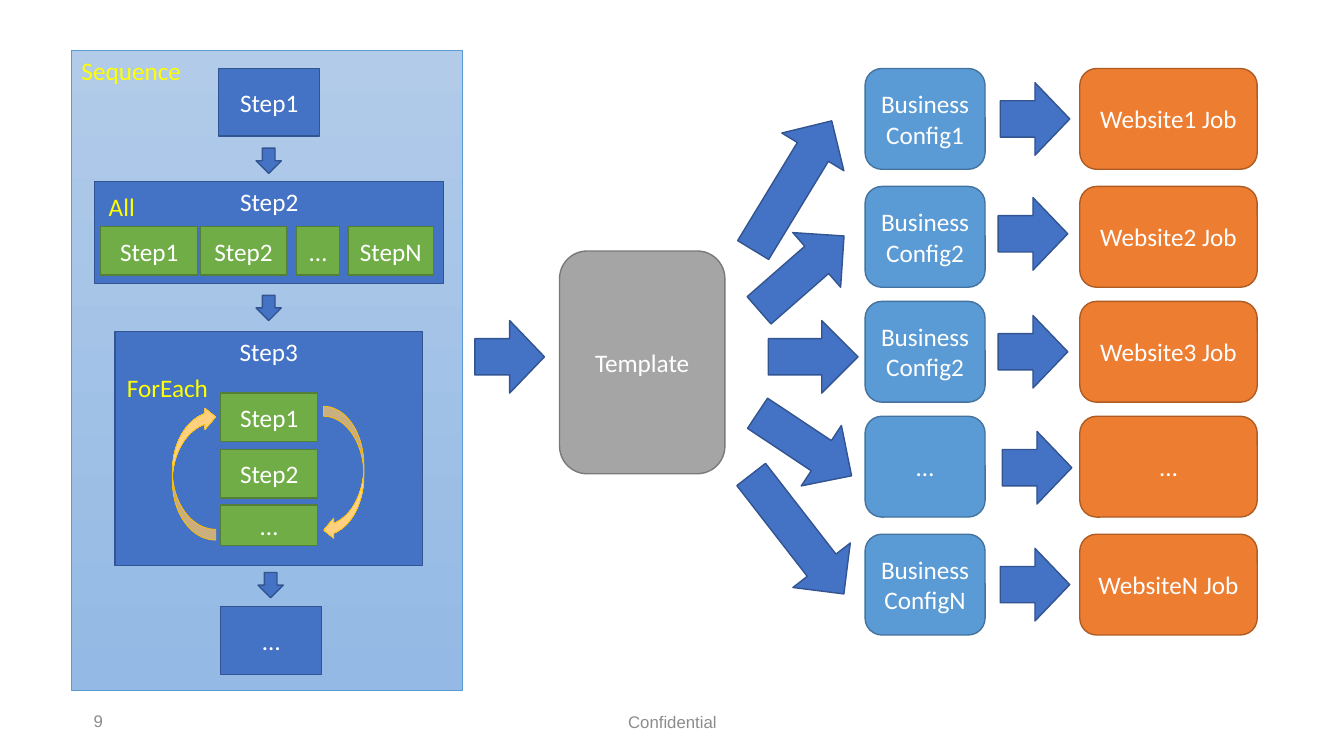
"""Builds the slide showing a step sequence feeding a template that drives website jobs."""
from dataclasses import dataclass

from pptx import Presentation
from pptx.dml.color import RGBColor
from pptx.enum.shapes import MSO_SHAPE
from pptx.enum.text import MSO_ANCHOR, MSO_AUTO_SIZE, PP_ALIGN
from pptx.util import Emu, Pt

PROCESS = MSO_SHAPE.FLOWCHART_PROCESS
ROUNDED = MSO_SHAPE.ROUNDED_RECTANGLE
DOWN_ARROW = MSO_SHAPE.DOWN_ARROW
RIGHT_ARROW = MSO_SHAPE.RIGHT_ARROW
CURVED_LEFT = MSO_SHAPE.CURVED_LEFT_ARROW
CURVED_RIGHT = MSO_SHAPE.CURVED_RIGHT_ARROW
TOP, MIDDLE = MSO_ANCHOR.TOP, MSO_ANCHOR.MIDDLE
LEFT, CENTER = PP_ALIGN.LEFT, PP_ALIGN.CENTER
FIT_TEXT = MSO_AUTO_SIZE.SHAPE_TO_FIT_TEXT

WHITE = RGBColor(0xFF, 0xFF, 0xFF)
YELLOW = RGBColor(0xFF, 0xFF, 0x00)
FOOTER_GRAY = RGBColor(0x8C, 0x8C, 0x8C)

EMU_PER_PX = 9144


@dataclass(frozen=True)
class Style:
    fills: tuple[RGBColor, ...]
    line: RGBColor
    line_width: float = 1


@dataclass(frozen=True)
class Node:
    kind: MSO_SHAPE
    style: Style
    box: tuple[int, int, int, int]
    text: str = ""
    anchor: MSO_ANCHOR = MIDDLE
    align: PP_ALIGN = CENTER
    color: RGBColor = WHITE
    rotation: float = 0
    flipped: bool = False


@dataclass(frozen=True)
class Label:
    text: str
    box: tuple[int, int, int, int]
    color: RGBColor
    font: str = "Calibri"
    size: int = 18
    align: PP_ALIGN = LEFT
    anchor: MSO_ANCHOR = TOP
    wrap: bool = False


@dataclass(frozen=True)
class JobRow:
    top: int
    config: str
    job: str
    arrow_left: int
    arrow_top: int


BLUE = Style((RGBColor(0x44, 0x72, 0xC4),), RGBColor(0x32, 0x54, 0x91))
GREEN = Style((RGBColor(0x70, 0xAD, 0x47),), RGBColor(0x53, 0x80, 0x35))
GRAY = Style((RGBColor(0xA5, 0xA5, 0xA5),), RGBColor(0x7A, 0x7A, 0x7A))
SKY = Style((RGBColor(0x5B, 0x9B, 0xD5),), RGBColor(0x43, 0x73, 0x9E))
ORANGE = Style((RGBColor(0xED, 0x7D, 0x31),), RGBColor(0xAF, 0x5C, 0x24))
PALE_BLUE = Style((RGBColor(0xB1, 0xCB, 0xE9), RGBColor(0x93, 0xB9, 0xE4)),
                  RGBColor(0x5B, 0x9B, 0xD5), 0.5)
GOLD = Style((RGBColor(0xFF, 0xDB, 0x9E), RGBColor(0xFF, 0xD0, 0x7C)),
             RGBColor(0xFF, 0xC0, 0x00), 0.5)

SEQUENCE = [
    Node(PROCESS, PALE_BLUE, (71, 50, 388, 635), "Sequence", TOP, LEFT, YELLOW),
    Node(PROCESS, BLUE, (217, 68, 100, 67), "Step1"),
    Node(PROCESS, BLUE, (94, 180, 346, 101), "Step2", TOP),
    Node(PROCESS, BLUE, (114, 329, 305, 232), "Step3", TOP),
    Node(PROCESS, BLUE, (219, 602, 100, 67), "…"),
]
SEQUENCE_ARROWS = [Node(DOWN_ARROW, BLUE, (left, top, 25, 25))
                   for left, top in ((254, 147), (254, 293), (256, 568))]
ALL_STEPS = [Node(PROCESS, GREEN, (left, 225, width, 48), text)
             for left, width, text in ((100, 96, "Step1"), (199, 85, "Step2"),
                                       (294, 43, "…"), (345, 85, "StepN"))]
LOOP_STEPS = [Node(PROCESS, GREEN, (219, top, 96, height), text)
              for top, height, text in ((390, 48, "Step1"), (446, 48, "Step2"),
                                        (501, 40, "…"))]
LOOP_ARROWS = [
    Node(CURVED_LEFT, GOLD, (321, 403, 40, 133)),
    Node(CURVED_RIGHT, GOLD, (171, 403, 43, 133), flipped=True),
]
TEMPLATE = [
    Node(RIGHT_ARROW, BLUE, (471, 318, 69, 72)),
    Node(ROUNDED, GRAY, (555, 249, 164, 221), "Template"),
]
FAN_ARROWS = [Node(RIGHT_ARROW, BLUE, (left, top, width, 72), rotation=angle)
              for left, top, width, angle in (
                  (762, 318, 89, 0), (739, 235, 112, 318.8), (742, 405, 112, 33.6),
                  (711, 148, 150, 301.3), (716, 494, 150, 52.2))]
JOB_ROWS = [
    JobRow(68, "Business Config1", "Website1 Job", 992, 82),
    JobRow(185, "Business Config2", "Website2 Job", 990, 196),
    JobRow(299, "Business Config2", "Website3 Job", 990, 313),
    JobRow(413, "…", "…", 994, 428),
    JobRow(530, "Business ConfigN", "WebsiteN Job", 992, 544),
]
LABELS = [
    Label("ForEach", (116, 364, 101, 40), YELLOW),
    Label("All", (98, 185, 46, 40), YELLOW),
    Label("9", (83, 695, 300, 40), FOOTER_GRAY, "Arial", 12, LEFT, MIDDLE, True),
    Label("Confidential", (442, 696, 450, 40), FOOTER_GRAY, "Arial", 12, CENTER, MIDDLE, True),
]


def px(length: int) -> Emu:
    return Emu(length * EMU_PER_PX)


def write_text(frame, text: str, font: str, size: int, color: RGBColor,
               align: PP_ALIGN, anchor: MSO_ANCHOR, wrap: bool) -> None:
    frame.word_wrap = wrap
    frame.vertical_anchor = anchor
    paragraph = frame.paragraphs[0]
    paragraph.text = text
    paragraph.alignment = align
    paragraph.font.name = font
    paragraph.font.size = Pt(size)
    paragraph.font.color.rgb = color


def draw_node(slide, node: Node) -> None:
    shape = slide.shapes.add_shape(node.kind, *map(px, node.box))
    shape.shadow.inherit = False
    shape.rotation = node.rotation
    if node.flipped:
        shape.element.spPr.xfrm.set("flipV", "1")
    style = node.style
    if len(style.fills) == 1:
        shape.fill.solid()
        shape.fill.fore_color.rgb = style.fills[0]
    else:
        shape.fill.gradient()
        shape.fill.gradient_angle = 270
        for stop, color in zip(shape.fill.gradient_stops, style.fills):
            stop.color.rgb = color
    shape.line.color.rgb = style.line
    shape.line.width = Pt(style.line_width)
    if node.text:
        write_text(shape.text_frame, node.text, "Calibri", 18, node.color,
                   node.align, node.anchor, True)


def draw_label(slide, label: Label) -> None:
    frame = slide.shapes.add_textbox(*map(px, label.box)).text_frame
    write_text(frame, label.text, label.font, label.size, label.color,
               label.align, label.anchor, label.wrap)
    if not label.wrap:
        frame.auto_size = FIT_TEXT


def job_nodes(row: JobRow) -> list[Node]:
    return [
        Node(ROUNDED, SKY, (858, row.top, 119, 100), row.config),
        Node(ROUNDED, ORANGE, (1071, row.top, 176, 100), row.job),
        Node(RIGHT_ARROW, BLUE, (row.arrow_left, row.arrow_top, 69, 72)),
    ]


def main() -> None:
    deck = Presentation()
    deck.slide_width, deck.slide_height = px(1333), px(750)
    slide = deck.slides.add_slide(deck.slide_layouts.get_by_name("Blank"))
    for group in (SEQUENCE, SEQUENCE_ARROWS, ALL_STEPS, LOOP_STEPS, LOOP_ARROWS,
                  TEMPLATE, *map(job_nodes, JOB_ROWS), FAN_ARROWS):
        for node in group:
            draw_node(slide, node)
    for label in LABELS:
        draw_label(slide, label)
    deck.save("out.pptx")


if __name__ == "__main__":
    main()
